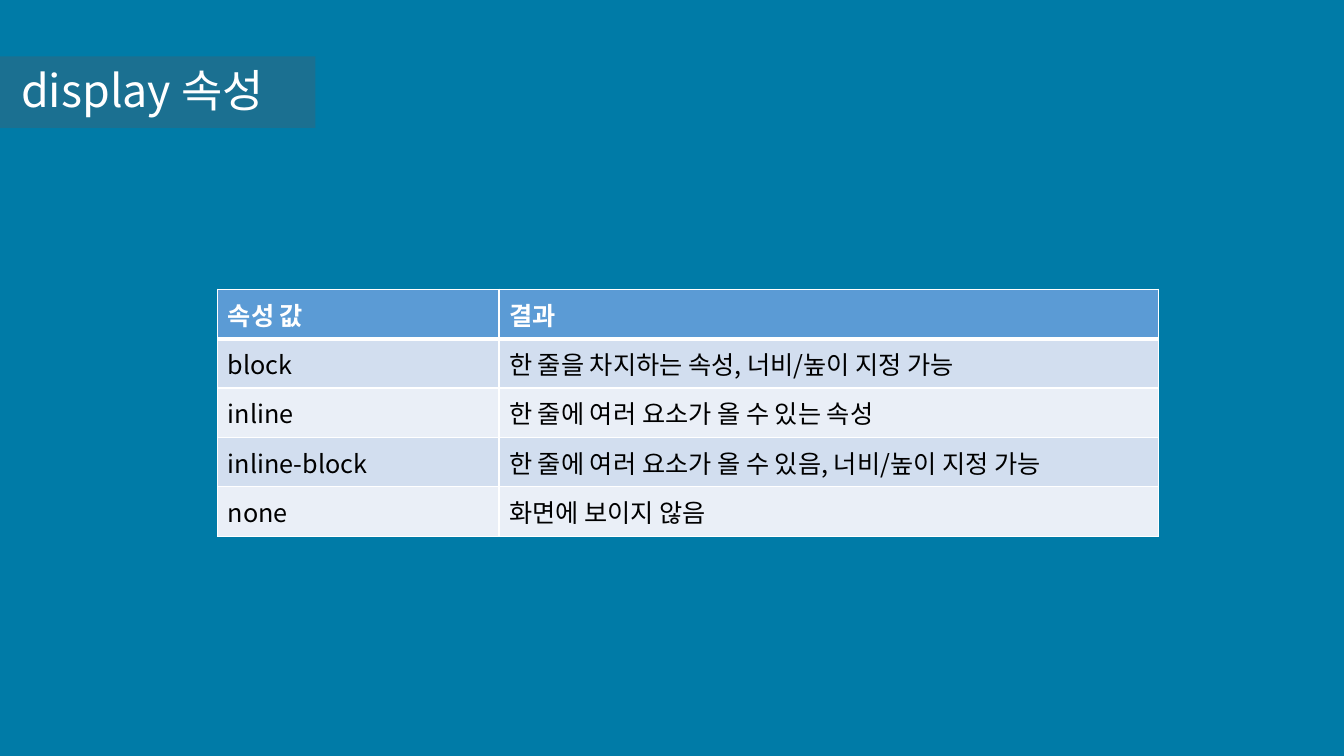
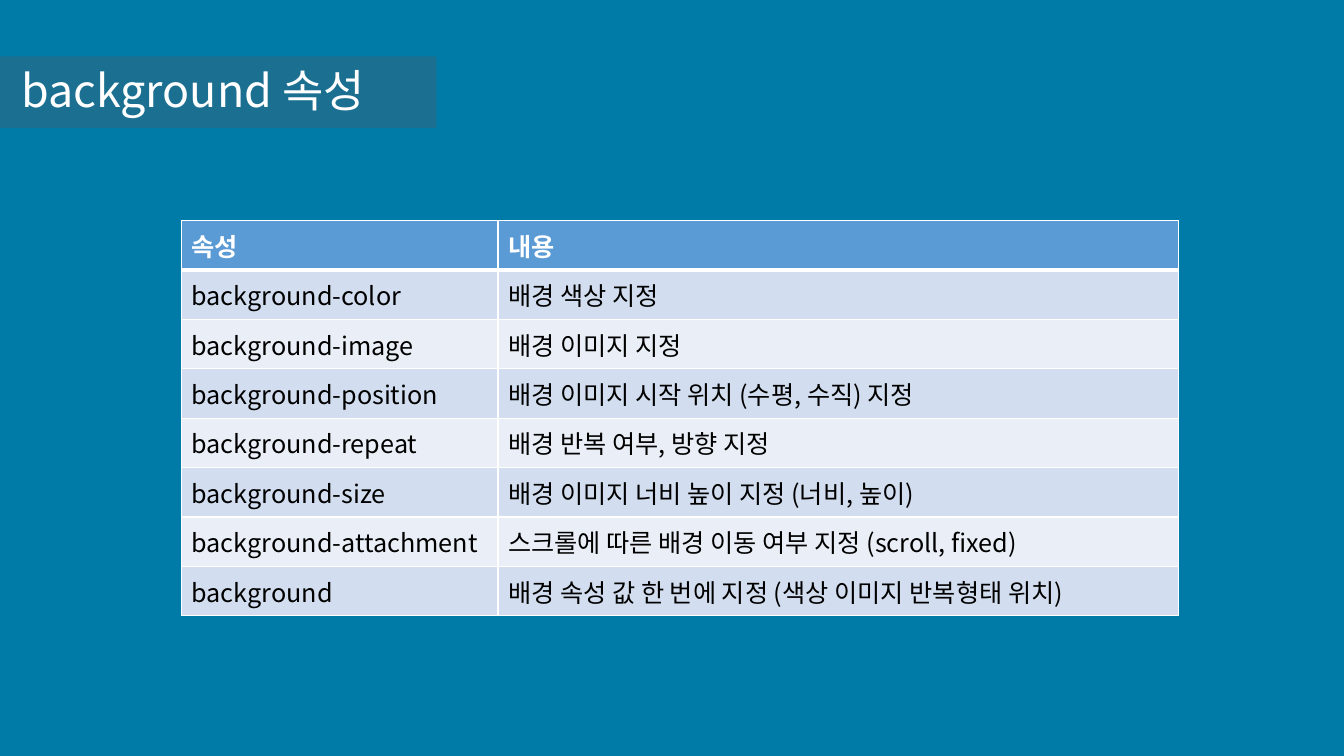
from lxml.etree import SubElement as Sub
from pptx import Presentation
from pptx.dml.color import RGBColor as Rgb
from pptx.enum.shapes import MSO_SHAPE as Shape
from pptx.enum.text import MSO_ANCHOR as Anchor, MSO_AUTO_SIZE as Auto, PP_ALIGN as Align
from pptx.oxml import parse_xml
from pptx.oxml.ns import nsdecls, qn
from pptx.util import Inches, Pt

FACE = "Noto Sans CJK KR"
BACK, BAND, HEAD, ODD, EVEN = "007BA7", "615758", "5B9BD5", "D2DEEF", "EAEFF7"
WHITE, BLACK = "FFFFFF", "000000"
ROW = 0.49
TITLE = {"size": Pt(32), "bold": False, "name": FACE}
CELL = {"size": Pt(18), "name": FACE}
FRAME = {"word_wrap": True, "auto_size": Auto.NONE, "vertical_anchor": Anchor.MIDDLE}

SLIDES = [
    ("display 속성", 3.13, (2.16, 2.87), (2.79, 6.54), [
        ("속성 값", "결과"),
        ("block", "한 줄을 차지하는 속성, 너비/높이 지정 가능"),
        ("inline", "한 줄에 여러 요소가 올 수 있는 속성"),
        ("inline-block", "한 줄에 여러 요소가 올 수 있음, 너비/높이 지정 가능"),
        ("none", "화면에 보이지 않음"),
    ]),
    ("background 속성", 4.33, (1.8, 2.19), (3.14, 6.75), [
        ("속성", "내용"),
        ("background-color", "배경 색상 지정"),
        ("background-image", "배경 이미지 지정"),
        ("background-position", "배경 이미지 시작 위치 (수평, 수직) 지정"),
        ("background-repeat", "배경 반복 여부, 방향 지정"),
        ("background-size", "배경 이미지 너비 높이 지정 (너비, 높이)"),
        ("background-attachment", "스크롤에 따른 배경 이동 여부 지정 (scroll, fixed)"),
        ("background", "배경 속성 값 한 번에 지정 (색상 이미지 반복형태 위치)"),
    ]),
]


def assign(item, form):
    """Set each attribute named in a dict."""
    for key, value in form.items():
        setattr(item, key, value)


def paint(fill, color):
    """Give a fill one solid colour."""
    fill.solid()
    fill.fore_color.rgb = Rgb.from_string(color)


def write(frame, text, form, color):
    """Write one left-aligned run and return its properties element."""
    para = frame.paragraphs[0]
    para.alignment = Align.LEFT
    run = para.add_run()
    run.text = text
    assign(run.font, form)
    paint(run.font.fill, color)
    props = run.font._element
    Sub(props, qn("a:ea"), typeface=FACE)
    return props


def shade(props):
    """Put a soft dark shadow behind a run."""
    glow = parse_xml(
        f'<a:effectLst {nsdecls("a")}><a:outerShdw blurRad="50800" dist="25400" '
        'dir="2700000"><a:srgbClr val="000000"><a:alpha val="40000"/>'
        '</a:srgbClr></a:outerShdw></a:effectLst>')
    props.find(qn("a:solidFill")).addnext(glow)


def banner(slide, text, width):
    """Place the title on its translucent band."""
    band = slide.shapes.add_shape(
        Shape.RECTANGLE, 0, Inches(0.56), Inches(width), Inches(0.71))
    band.shadow.inherit = False
    band.line.fill.background()
    paint(band.fill, BAND)
    tint = band.element.spPr.find(qn("a:solidFill"))[0]
    Sub(tint, qn("a:alpha"), val="28000")
    title = slide.shapes.title
    title.element.addprevious(band.element)
    assign(title, {"left": Inches(0.11), "top": Inches(0.57),
                   "width": Inches(7.24), "height": Inches(0.64)})
    assign(title.text_frame, FRAME)
    shade(write(title.text_frame, text, TITLE, WHITE))


def border(cell, top, bottom):
    """Draw the white edges of a cell, with widths in points."""
    props = cell._tc.get_or_add_tcPr()
    sides = {"L": 1, "R": 1, "T": top, "B": bottom}
    for spot, (side, width) in enumerate(sides.items()):
        line = parse_xml(
            f'<a:ln{side} {nsdecls("a")} w="{Pt(width)}"><a:solidFill>'
            f'<a:srgbClr val="{WHITE}"/></a:solidFill></a:ln{side}>')
        props.insert(spot, line)


def grid(slide, place, cols, rows):
    """Build a table with a heavy header rule and striped rows."""
    left, top = place
    table = slide.shapes.add_table(
        len(rows), len(cols), Inches(left), Inches(top),
        Inches(sum(cols)), Inches(ROW * len(rows))).table
    for col, width in zip(table.columns, cols):
        col.width = Inches(width)
    for r, row in enumerate(rows):
        table.rows[r].height = Inches(ROW)
        color = HEAD if r == 0 else ODD if r % 2 else EVEN
        for c, text in enumerate(row):
            cell = table.cell(r, c)
            cell.vertical_anchor = Anchor.MIDDLE
            paint(cell.fill, color)
            border(cell, 3 if r == 1 else 1, 1 if r else 3)
            write(cell.text_frame, text, CELL | {"bold": r == 0},
                  BLACK if r else WHITE)


def main():
    """Build and save the slides."""
    deck = Presentation()
    assign(deck, {"slide_width": Inches(13.33), "slide_height": Inches(7.5)})
    paint(deck.slide_master.background.fill, BACK)
    for title, width, place, cols, rows in SLIDES:
        slide = deck.slides.add_slide(deck.slide_layouts[5])
        banner(slide, title, width)
        grid(slide, place, cols, rows)
    deck.save("out.pptx")


if __name__ == "__main__":
    main()
